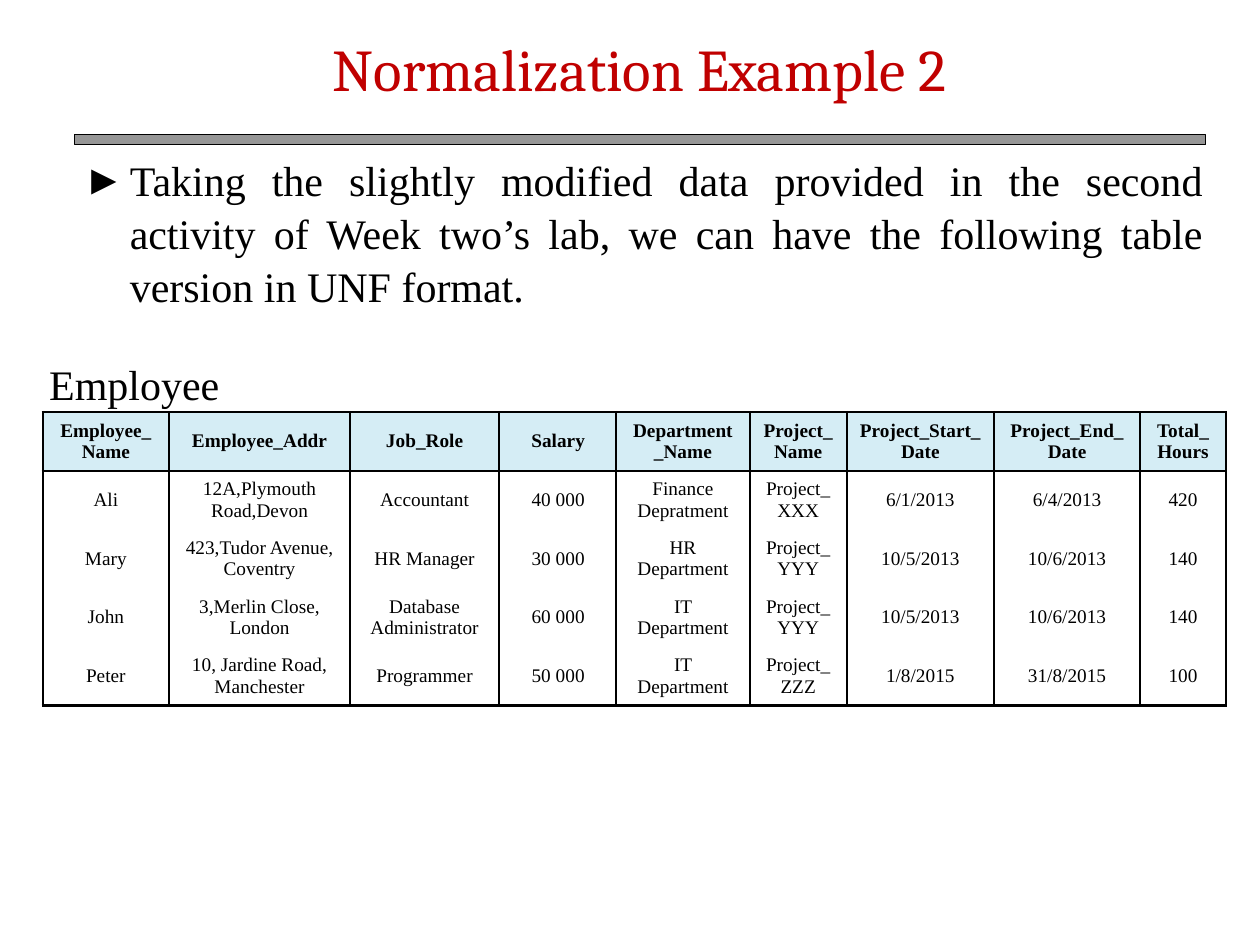
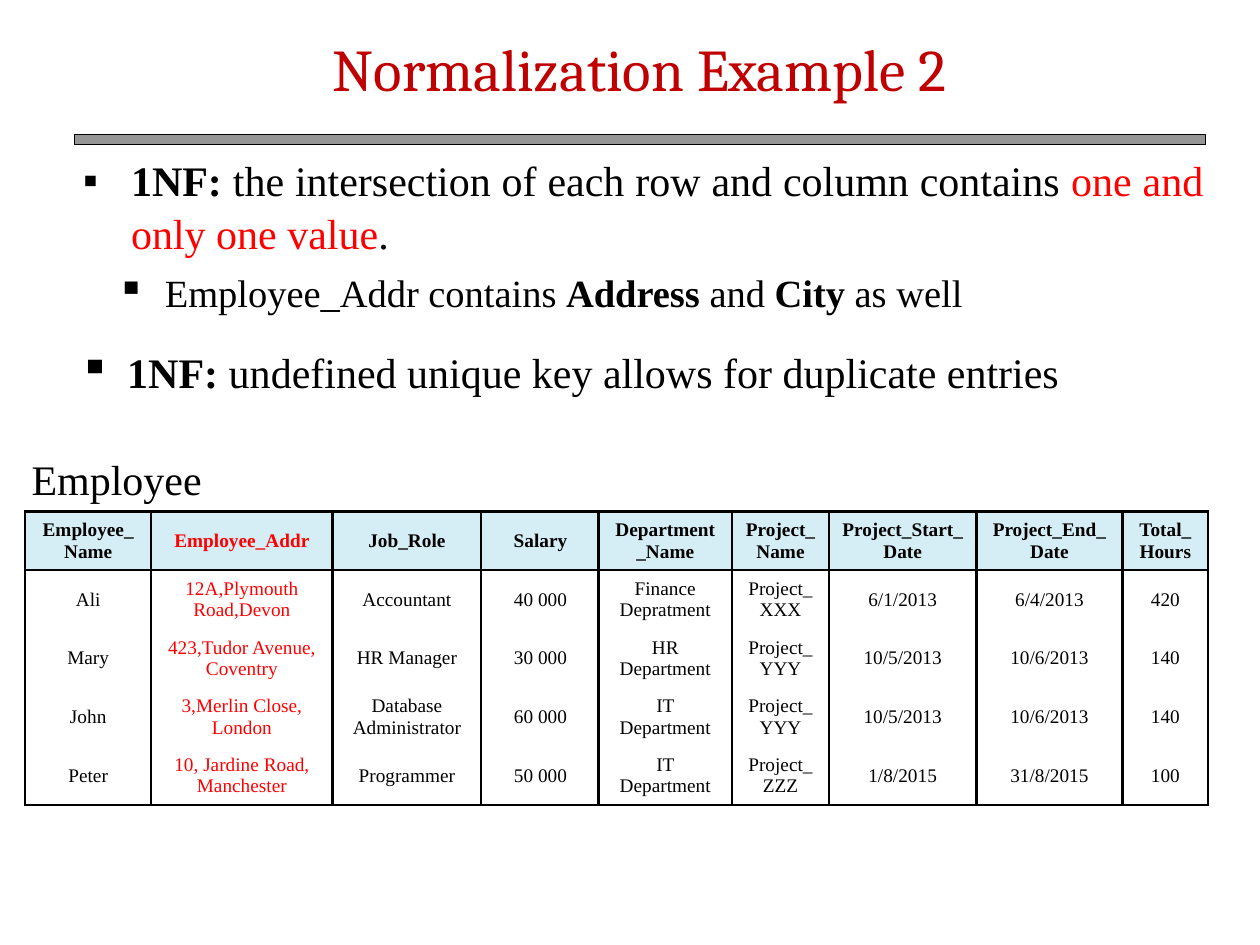
from lxml.etree import SubElement
from pptx import Presentation
from pptx.dml.color import RGBColor
from pptx.enum.shapes import MSO_SHAPE
from pptx.enum.text import MSO_ANCHOR, MSO_AUTO_SIZE, PP_ALIGN
from pptx.oxml.ns import qn
from pptx.util import Inches, Pt

BLACK = RGBColor(0x00, 0x00, 0x00)
WHITE = RGBColor(0xFF, 0xFF, 0xFF)
GRAY = RGBColor(0x96, 0x96, 0x96)
RED = RGBColor(0xFF, 0x00, 0x00)
DARK_RED = RGBColor(0xC0, 0x00, 0x00)
HEADER_BLUE = RGBColor(0xD5, 0xED, 0xF5)

TITLE_FORMAT = {"name": "Cambria", "size": Pt(33.8), "bold": False}
TEXT_FORMAT = {"name": "Times New Roman", "size": Pt(24), "bold": False}
CELL_FORMAT = {"name": "Times New Roman", "size": Pt(11), "bold": False}
BOLD = {"bold": True}

# Employee records: personal half and project half, each with its column widths
PERSON_WIDTHS = [1, 1.44, 1.18, 0.94]
PERSON_ROWS = [
    ["Employee_Name", "Employee_Addr", "Job_Role", "Salary"],
    ["Ali", "12A,Plymouth Road,Devon", "Accountant", "40 000"],
    ["Mary", "423,Tudor Avenue, Coventry", "HR Manager", "30 000"],
    ["John", "3,Merlin Close, London", "Database Administrator", "60 000"],
    ["Peter", "10, Jardine Road, Manchester", "Programmer", "50 000"],
]
PROJECT_WIDTHS = [1.06, 0.77, 1.17, 1.16, 0.68]
PROJECT_ROWS = [
    ["Department_Name", "Project_Name", "Project_Start_Date", "Project_End_Date", "Total_Hours"],
    ["Finance Depratment", "Project_XXX", "6/1/2013", "6/4/2013", "420"],
    ["HR Department", "Project_YYY", "10/5/2013", "10/6/2013", "140"],
    ["IT Department", "Project_YYY", "10/5/2013", "10/6/2013", "140"],
    ["IT Department", "Project_ZZZ", "1/8/2015", "31/8/2015", "100"],
]


class LessonDeck:
    """Holds the shared style and the page being built."""

    def __init__(self):
        self.deck = Presentation()
        self.deck.slide_width, self.deck.slide_height = Inches(10), Inches(7.5)
        self.page = None

    def add_page(self, title):
        self.page = self.deck.slides.add_slide(self.deck.slide_layouts[1])
        # Gray band under the title
        band = self.page.shapes.add_shape(
            MSO_SHAPE.RECTANGLE, Inches(0.59), Inches(1.07), Inches(8.98), Inches(0.08))
        band.shadow.inherit = False
        band.fill.solid()
        band.fill.fore_color.rgb = GRAY
        band.line.color.rgb = BLACK
        band.line.width = Pt(0.75)
        # Title
        box = self.page.shapes.title
        self.place(box, 0.83, 0.02, 8.5, 0.85)
        box.text_frame.vertical_anchor = MSO_ANCHOR.BOTTOM
        para = box.text_frame.paragraphs[0]
        para.alignment = PP_ALIGN.CENTER
        self.add_span(para, title, TITLE_FORMAT, color=DARK_RED)

    def place(self, box, left, top, width, height, side_margin=0.05):
        box.left, box.top = Inches(left), Inches(top)
        box.width, box.height = Inches(width), Inches(height)
        frame = box.text_frame
        frame.word_wrap = True
        frame.auto_size = MSO_AUTO_SIZE.NONE
        frame.vertical_anchor = MSO_ANCHOR.TOP
        frame.margin_left = frame.margin_right = Inches(side_margin)
        frame.margin_top = frame.margin_bottom = Inches(0.05)

    def add_span(self, para, text, base, color=BLACK, **changes):
        span = para.add_run()
        span.text = text
        for name, value in {**base, **changes}.items():
            setattr(span.font, name, value)
        span.font.color.rgb = color

    def add_text(self, box, spans, bullet=None, indent=0.38, **changes):
        para = box.text_frame.paragraphs[0]
        para.line_spacing = 1.05
        para.space_before = Pt(0)
        if bullet:
            para.alignment = PP_ALIGN.JUSTIFY
            props = para._p.get_or_add_pPr()
            props.set("marL", str(Inches(indent)))
            props.set("indent", str(-Inches(indent)))
            SubElement(props, qn("a:buChar"), char=bullet)
        for text, span_changes in spans:
            self.add_span(para, text, TEXT_FORMAT, **{**changes, **span_changes})

    def add_body(self, spans, height, **style):
        box = self.page.placeholders[1]
        self.place(box, 0.61, 1.16, 8.99, height)
        self.add_text(box, spans, **style)

    def add_box(self, spans, left, top, width, height, side_margin=0.05, **style):
        box = self.page.shapes.add_textbox(0, 0, 0, 0)
        self.place(box, left, top, width, height, side_margin)
        self.add_text(box, spans, **style)

    def set_borders(self, cell, drawn):
        props = cell._tc.get_or_add_tcPr()
        for side in "LRTB":
            line = SubElement(props, qn(f"a:ln{side}"), w=str(Pt(1.5)))
            if side in drawn:
                fill = SubElement(line, qn("a:solidFill"))
                SubElement(fill, qn("a:srgbClr"), val=str(BLACK))
            else:
                SubElement(line, qn("a:noFill"))

    def add_table(self, rows, widths, left, top, red_column=None):
        height = Inches(2.33)
        table = self.page.shapes.add_table(
            len(rows), len(widths), Inches(left), Inches(top),
            Inches(sum(widths)), height).table
        table.first_row = table.horz_banding = False
        for column, width in zip(table.columns, widths):
            column.width = Inches(width)
        for r, values in enumerate(rows):
            table.rows[r].height = height // len(rows)
            # Only the header and the outer edge have horizontal lines
            drawn = {0: "LRTB", 1: "LRT", len(rows) - 1: "LRB"}.get(r, "LR")
            for c, value in enumerate(values):
                cell = table.cell(r, c)
                self.set_borders(cell, drawn)
                cell.fill.solid()
                cell.fill.fore_color.rgb = WHITE if r else HEADER_BLUE
                cell.vertical_anchor = MSO_ANCHOR.MIDDLE
                para = cell.text_frame.paragraphs[0]
                para.alignment = PP_ALIGN.CENTER
                self.add_span(para, value, CELL_FORMAT, bold=r == 0,
                              color=RED if c == red_column else BLACK)

    def add_employee_tables(self, left, label_top, top, red_column=None):
        self.add_box([("Employee", {})], left, label_top, 1.59, 0.5)
        self.add_table(PERSON_ROWS, PERSON_WIDTHS, left, top, red_column)
        self.add_table(PROJECT_ROWS, PROJECT_WIDTHS, left + 4.55, top)


def main():
    lesson = LessonDeck()
    title = "Normalization Example 2"

    # Unnormalized table
    lesson.add_page(title)
    lesson.add_body(
        [("Taking the slightly modified data provided in the second activity of "
          "Week two’s lab, we can have the following table version in UNF format.", {})],
        height=1.6, bullet="►", indent=0.37)
    lesson.add_employee_tables(left=0.34, label_top=2.78, top=3.27)

    # First normal form checks
    lesson.add_page(title)
    lesson.add_body(
        [("1NF: ", BOLD),
         ("the intersection of each row and column contains ", {}),
         ("one and only one value", {"color": RED}),
         (".", {})],
        height=0.91, bullet="▪")
    lesson.add_box(
        [("Employee_Addr contains ", {}), ("Address", BOLD), (" and ", {}),
         ("City", BOLD), (" as well", {})],
        0.83, 2.07, 8.65, 0.47, side_margin=0.1, bullet="▪", size=Pt(22))
    lesson.add_box(
        [("1NF: ", BOLD), ("undefined unique key allows for duplicate entries", {})],
        0.58, 2.68, 8.99, 0.5, bullet="▪")
    lesson.add_employee_tables(left=0.2, label_top=3.53, top=4.06, red_column=1)

    lesson.deck.save("out.pptx")


if __name__ == "__main__":
    main()
